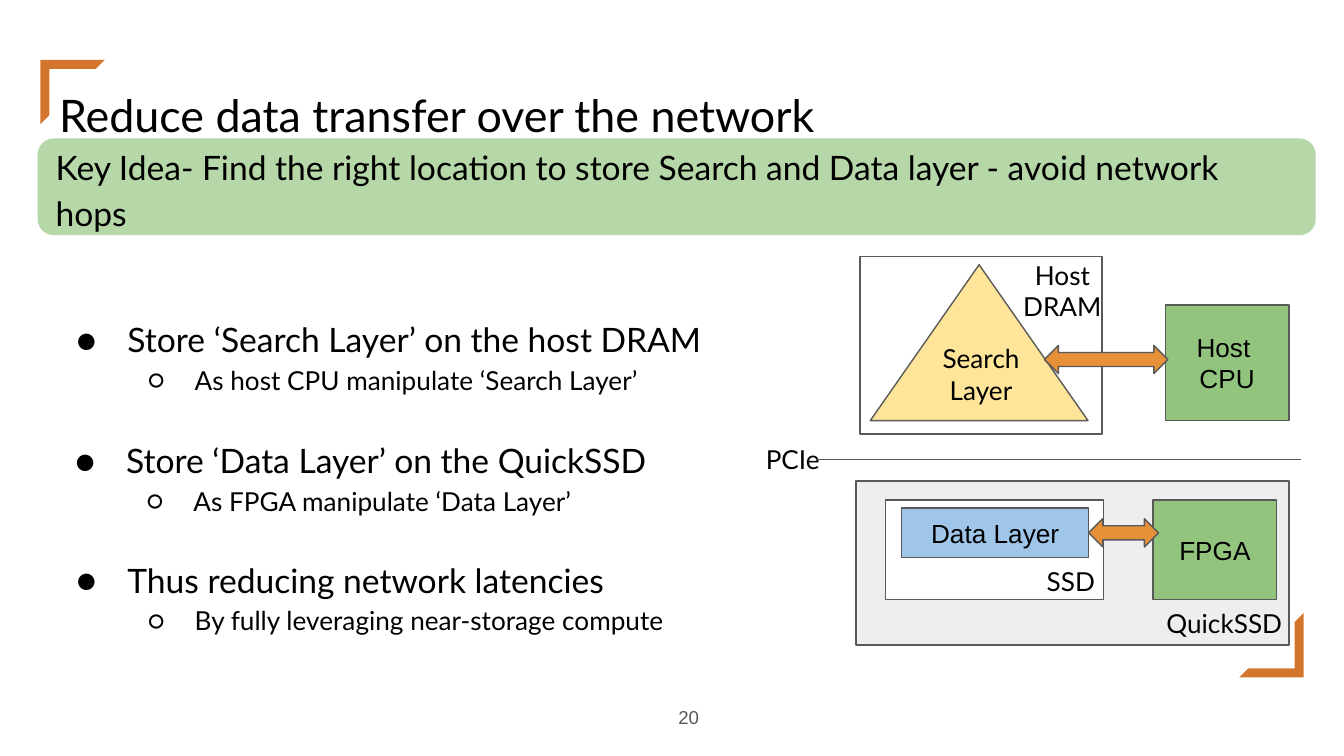
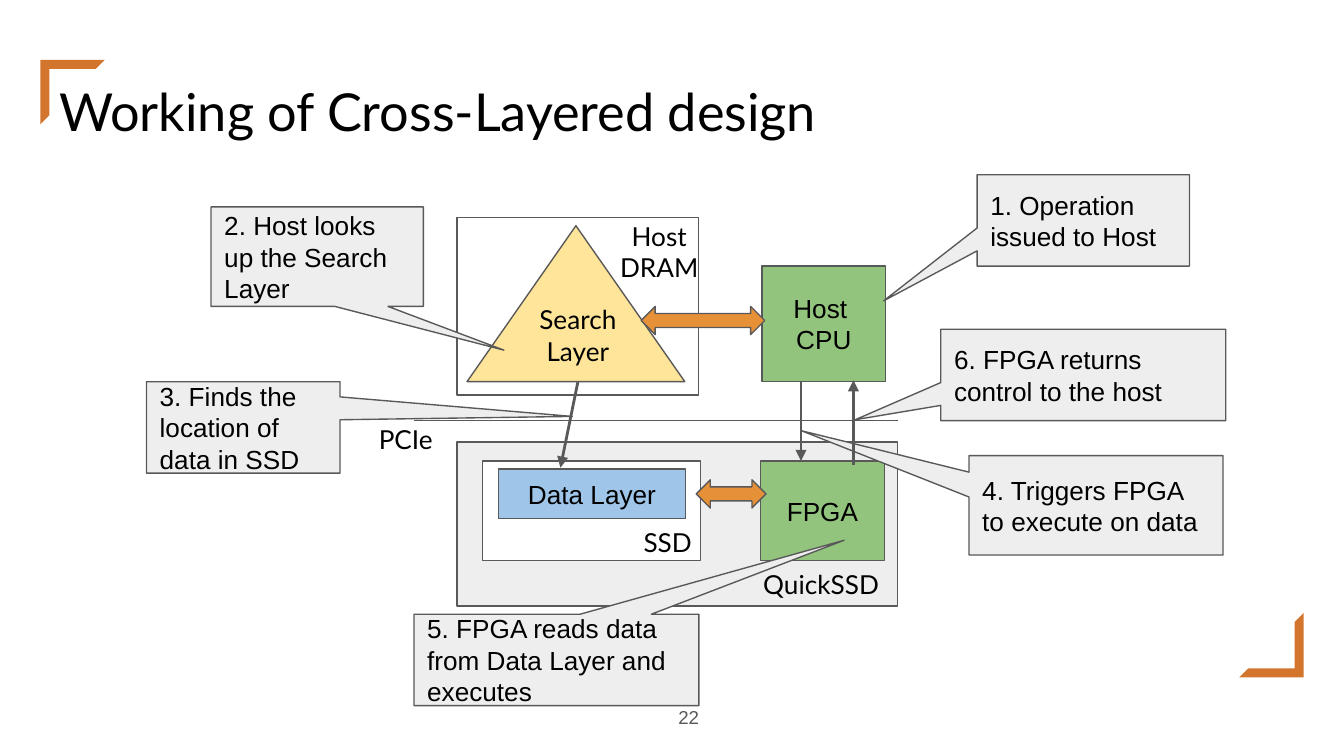
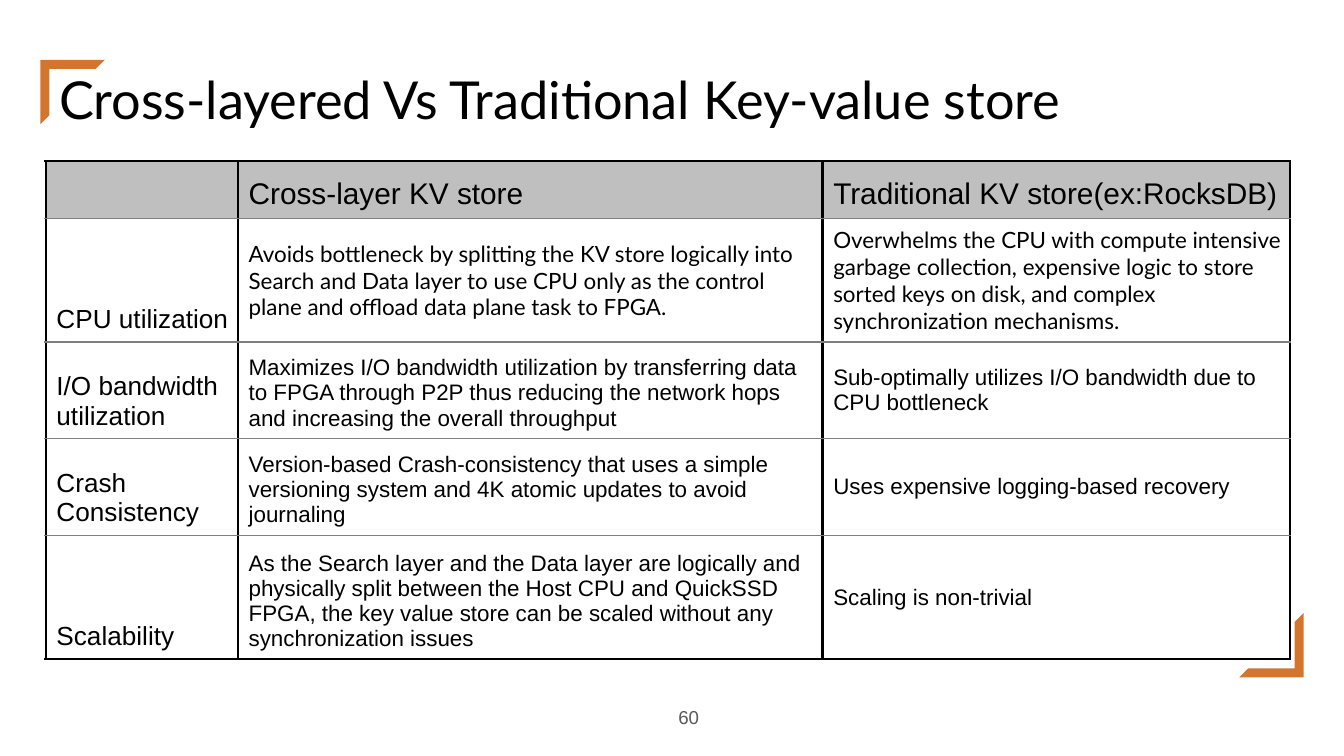
"""Builds three slides on a cross-layered key-value store and saves them."""
from lxml.etree import SubElement
from pptx import Presentation
from pptx.dml.color import RGBColor
from pptx.enum.shapes import MSO_CONNECTOR as LINK, MSO_SHAPE as FORM
from pptx.enum.text import MSO_ANCHOR as ANCHOR, MSO_AUTO_SIZE as FIT, PP_ALIGN as ALIGN
from pptx.oxml.ns import qn
from pptx.util import Inches, Pt

rgb = RGBColor.from_string
BLACK, GREY, MID_GREY, PALE, WHITE = "000000", "595959", "7F7F7F", "EEEEEE", "FFFFFF"
ORANGE, ARROW, YELLOW, GREEN, BLUE, MINT, HEADER = (
    "D4752E", "E69138", "FFE599", "93C47D", "9FC5E8", "B6D7A8", "BFBFBF")
GRID = Inches(0.1)
INSET = dict.fromkeys(("margin_left", "margin_top", "margin_right", "margin_bottom"), GRID)


def write(frame, text, size=14, font="Arial", colour=BLACK, align=ALIGN.LEFT,
          anchor=ANCHOR.TOP, spacing=1.0):
    """Fills a text frame and formats every paragraph alike."""
    frame.text = text
    frame_format = dict(INSET, word_wrap=True, auto_size=FIT.NONE, vertical_anchor=anchor)
    for key, value in frame_format.items():
        setattr(frame, key, value)
    for paragraph in frame.paragraphs:
        for key, value in dict(alignment=align, line_spacing=spacing).items():
            setattr(paragraph, key, value)
        for line_break in paragraph._p.findall(qn("a:br")):
            SubElement(line_break, qn("a:rPr"), sz=str(size * 100))
        for run in paragraph.runs:
            for key, value in dict(name=font, size=Pt(size)).items():
                setattr(run.font, key, value)
            run.font.color.rgb = rgb(colour)


def put(slide, form, box, text="", fill=None, line=GREY, adjust=(), **look):
    """Places a shape, or a text box if form is None, by grid columns and rows."""
    place = [round(value * GRID) for value in box]
    if form is None:
        item = slide.shapes.add_textbox(*place)
    else:
        item = slide.shapes.add_shape(form, *place)
        item.shadow.inherit = False
        for index, value in enumerate(adjust):
            item.adjustments[index] = value
        if fill:
            item.fill.solid()
            item.fill.fore_color.rgb = rgb(fill)
        else:
            item.fill.background()
        if line:
            item.line.color.rgb = rgb(line)
            item.line.width = Pt(0.75)
        else:
            item.line.fill.background()
    if text:
        write(item.text_frame, text, **look)
    return item


deck = Presentation()
deck.slide_width = Inches(10)
deck.slide_height = deck.slide_width * 9 // 16
CENTRE = dict(align=ALIGN.CENTER, anchor=ANCHOR.MIDDLE)
LATO = dict(font="Lato")
LATO_CENTRE = dict(LATO, align=ALIGN.CENTER)

headings = [
    ("Reduce data transfer over the network", "20", 4.9, 24, 1.15),
    ("Working of Cross-Layered design", "22", 4.9, 28, 1.0),
    ("Cross-layered Vs Traditional Key-value store", "60", 4.0, 28, 1.0),
]
for heading, number, top, size, spacing in headings:
    slide = deck.slides.add_slide(deck.slide_layouts[5])
    for left, row, turn in [(3, 4.45, 0), (92.2, 45.6, 180)]:
        corner = put(slide, FORM.HALF_FRAME, (left, row, 4.8, 4.8), fill=ORANGE, line=None,
                     adjust=(0.14, 0.14))
        corner.rotation = turn
    title = slide.shapes.title
    for key, value in dict(left=3.4, top=top, width=93.2, height=6.3).items():
        setattr(title, key, round(value * GRID))
    write(title.text_frame, heading, size=size, spacing=spacing, **LATO)
    put(slide, None, (47, 51.2, 6, 4.3), number, size=10, colour=GREY,
        align=ALIGN.RIGHT, anchor=ANCHOR.MIDDLE)
reduce_slide, working_slide, compare_slide = deck.slides

layouts = [
    (reduce_slide, 64, 19.1, (-0.3, 32.2), 21.8, 17.0, (-8, 12.9)),
    (working_slide, 34, 16.2, (0, 32.8), 22.6, 17.8, (-6.8, 14.3)),
]
for slide, x, y, (smart_x, smart_width), fpga_x, link_x, (bus_x, bus_y) in layouts:
    parts = [
        (FORM.RECTANGLE, (0, 0, 18, 13.2), "", None, {}),
        (FORM.ISOSCELES_TRIANGLE, (0.75, 0.6, 16.2, 11.6), "", YELLOW, {}),
        (None, (11, -0.8, 8.1, 6.7), "Host\vDRAM", None, LATO_CENTRE),
        (FORM.RECTANGLE, (22.7, 3.6, 9.2, 8.6), "Host \vCPU", GREEN, CENTRE),
        (FORM.RECTANGLE, (smart_x, 16.7, smart_width, 12.2), "", PALE, {}),
        (FORM.RECTANGLE, (1.9, 18.1, 16.2, 7.4), "", WHITE, {}),
        (FORM.RECTANGLE, (3.1, 18.7, 13.9, 3.7), "Data Layer", BLUE, CENTRE),
        (FORM.RECTANGLE, (fpga_x, 18.1, 9.2, 7.4), "FPGA", GREEN, CENTRE),
        (None, (12.9, 22, 6.4, 4.4), "SSD", None, LATO),
        (None, (21.8, 25.1, 13.9, 4.4), "QuickSSD", None, LATO),
        (FORM.LEFT_RIGHT_ARROW, (13.7, 6.6, 9.2, 2.1), "", ARROW, {}),
        (FORM.LEFT_RIGHT_ARROW, (link_x, 19.5, 5.2, 2.1), "", ARROW, {}),
        (None, (4.95, 5.4, 8.1, 6.7), "Search\nLayer", None, LATO_CENTRE),
        (None, (bus_x, bus_y, 7.3, 4.4), "PCIe", None, LATO),
    ]
    for form, (left, top, width, height), label, fill, look in parts:
        put(slide, form, (x + left, y + top, width, height), label, fill, **look)

points = [
    (3.5, 22.3, "Store ‘Search Layer’ on the host DRAM", "As host CPU manipulate ‘Search Layer’"),
    (3.4, 31.3, "Store ‘Data Layer’ on the QuickSSD", "As FPGA manipulate ‘Data Layer’"),
    (3.5, 40.2, "Thus reducing network latencies", "By fully leveraging near-storage compute"),
]
for left, top, point, detail in points:
    listing = put(reduce_slide, None, (left, top, 50.5, 7.9), f"{point}\n{detail}", **LATO)
    levels = [("●", 5, -3.8, 18), ("○", 10, -3.5, 14)]
    for level, (paragraph, (mark, margin, indent, size)) in enumerate(
            zip(listing.text_frame.paragraphs, levels)):
        paragraph.level = level
        props = paragraph._p.get_or_add_pPr()
        props.set("marL", str(round(margin * GRID)))
        props.set("indent", str(round(indent * GRID)))
        SubElement(SubElement(props, qn("a:buClr")), qn("a:srgbClr"), val=BLACK)
        SubElement(props, qn("a:buFont"), typeface="Lato")
        SubElement(props, qn("a:buChar"), char=mark)
        paragraph.line_spacing = 1.15
        paragraph.runs[0].font.size = Pt(size)

put(reduce_slide, FORM.ROUNDED_RECTANGLE, (2.8, 10.3, 95.1, 7.2),
    "Key Idea- Find the right location to store Search and Data layer - avoid network hops",
    MINT, None, size=18, anchor=ANCHOR.MIDDLE, spacing=1.15, **LATO)

steps = [
    ("1. Operation issued to Host", (72.7, 13, 15.8, 6.8), (-0.94, 0.88)),
    ("2. Host looks up the Search Layer", (15.7, 15.4, 15.8, 7.4), (0.88, 0.94)),
    ("3. Finds the location of data in SSD", (10.9, 28.4, 14.4, 6.8), (1.7, -0.12)),
    ("4. Triggers FPGA to execute on data", (72.1, 33.9, 18.9, 7.4), (-1.16, -0.75)),
    ("5. FPGA reads data from Data Layer and executes", (30.8, 45.7, 21.2, 6.8), (1.01, -1.31)),
    ("6. FPGA returns control to the host", (70, 24.5, 21.2, 6.8), (-0.8, 0.49)),
]
for step, box, tip in steps:
    put(working_slide, FORM.ROUNDED_RECTANGULAR_CALLOUT, box, step, PALE,
        adjust=(*tip, 0), anchor=ANCHOR.MIDDLE)

links = [
    (reduce_slide, (60.8, 34.2, 96.8, 34.2), False),
    (working_slide, (30.8, 31.3, 66.8, 31.3), False),
    (working_slide, (43, 28.4, 41.7, 34.8), True),
    (working_slide, (59.6, 28.4, 59.6, 34.3), True),
    (working_slide, (63.5, 34.6, 63.5, 28.3), True),
]
for slide, ends, arrow in links:
    link = slide.shapes.add_connector(LINK.STRAIGHT, *[round(end * GRID) for end in ends])
    link.line.color.rgb = rgb(GREY)
    link.line.width = Pt(1.5 if arrow else 0.75)
    if arrow:
        SubElement(link.line._get_or_add_ln(), qn("a:tailEnd"), type="triangle")
    SubElement(link._element.spPr, qn("a:effectLst"))

rows = [
    ("", "Cross-layer KV store", "Traditional KV store(ex:RocksDB)"),
    ("CPU utilization",
     "Avoids bottleneck by splitting the KV store logically into Search and Data layer "
     "to use CPU only as the control plane and offload data plane task to FPGA.",
     "Overwhelms the CPU with compute intensive garbage collection, expensive logic to store "
     "sorted keys on disk, and complex synchronization mechanisms."),
    ("I/O bandwidth utilization",
     "Maximizes I/O bandwidth utilization by transferring data to FPGA through P2P thus "
     "reducing the network hops and increasing the overall throughput",
     "Sub-optimally utilizes I/O bandwidth due to CPU bottleneck"),
    ("Crash Consistency",
     "Version-based Crash-consistency that uses a simple versioning system and 4K atomic "
     "updates to avoid journaling",
     "Uses expensive logging-based recovery"),
    ("Scalability",
     "As the Search layer and the Data layer are logically and physically split between the "
     "Host CPU and QuickSSD FPGA, the key value store can be scaled without any "
     "synchronization issues",
     "Scaling is non-trivial"),
]
widths, heights = (14.3, 43.5, 34.8), (4.2, 9.2, 7.2, 7.2, 9.2)
place = [round(value * GRID) for value in (3.4, 12, sum(widths), sum(heights))]
comparison = compare_slide.shapes.add_table(len(rows), len(widths), *place).table
comparison.first_row = comparison.horz_banding = False
for column, width in zip(comparison.columns, widths):
    column.width = round(width * GRID)
cell_format = dict(margin_left=Inches(0.08), margin_top=Inches(0.06),
                   margin_right=0, margin_bottom=Inches(0.06))
heavy, light = (BLACK, 1.5), (MID_GREY, 0.75)
for r, (texts, height) in enumerate(zip(rows, heights)):
    comparison.rows[r].height = round(height * GRID)
    for c, text in enumerate(texts):
        cell = comparison.cell(r, c)
        cell.text = text
        for key, value in cell_format.items():
            setattr(cell, key, value)
        centred = r > 0 and (c == 2 or (r, c) == (1, 1))
        cell.vertical_anchor = ANCHOR.MIDDLE if centred else ANCHOR.BOTTOM
        for run in cell.text_frame.paragraphs[0].runs:
            run.font.name = "Lato" if r == 1 and c else "Arial"
            run.font.size = Pt(16 if r == 0 else 12 if c else 14)
            run.font.color.rgb = rgb(BLACK)
        borders = dict(lnL=heavy, lnR=heavy, lnT=light if r else heavy,
                       lnB=light if r < len(rows) - 1 else heavy)
        for side, (colour, weight) in borders.items():
            edge = SubElement(cell._tc.get_or_add_tcPr(), qn(f"a:{side}"), w=str(Pt(weight)))
            SubElement(SubElement(edge, qn("a:solidFill")), qn("a:srgbClr"), val=colour)
        cell.fill.solid()
        cell.fill.fore_color.rgb = rgb(WHITE if r else HEADER)

deck.save("out.pptx")
